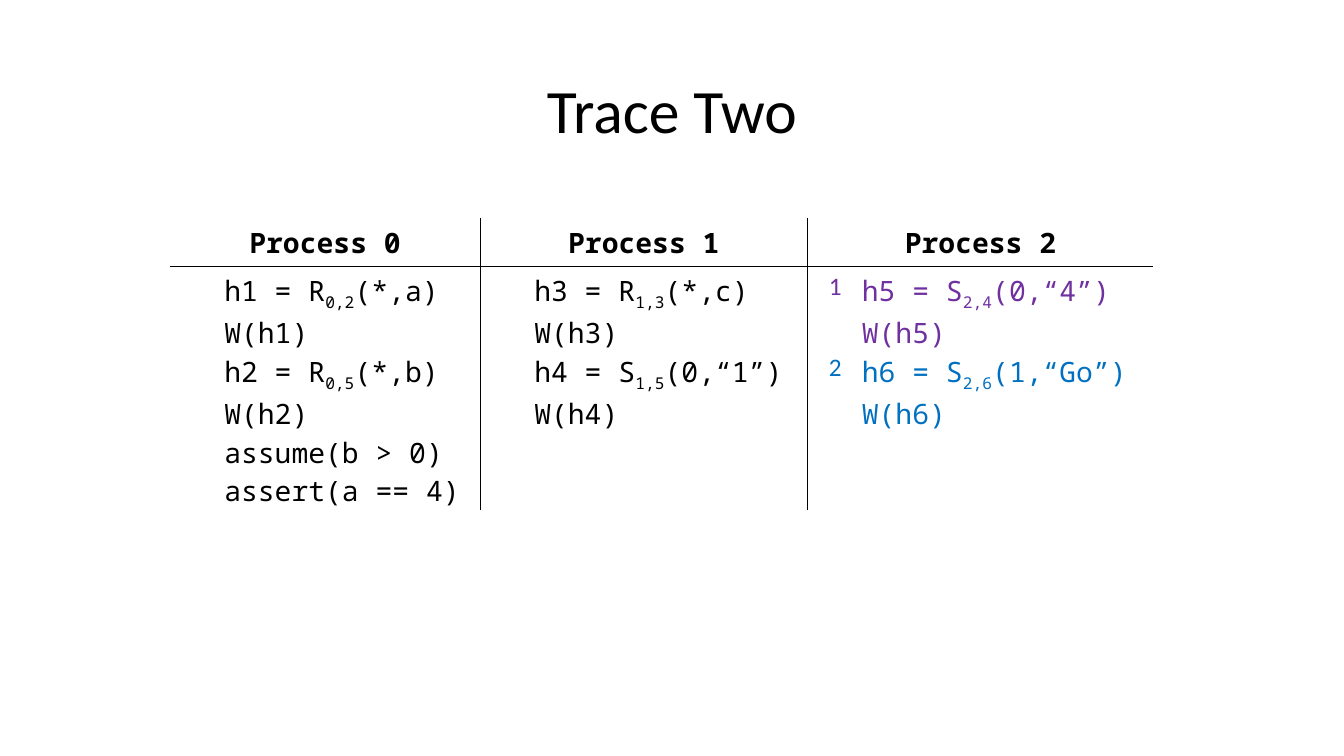
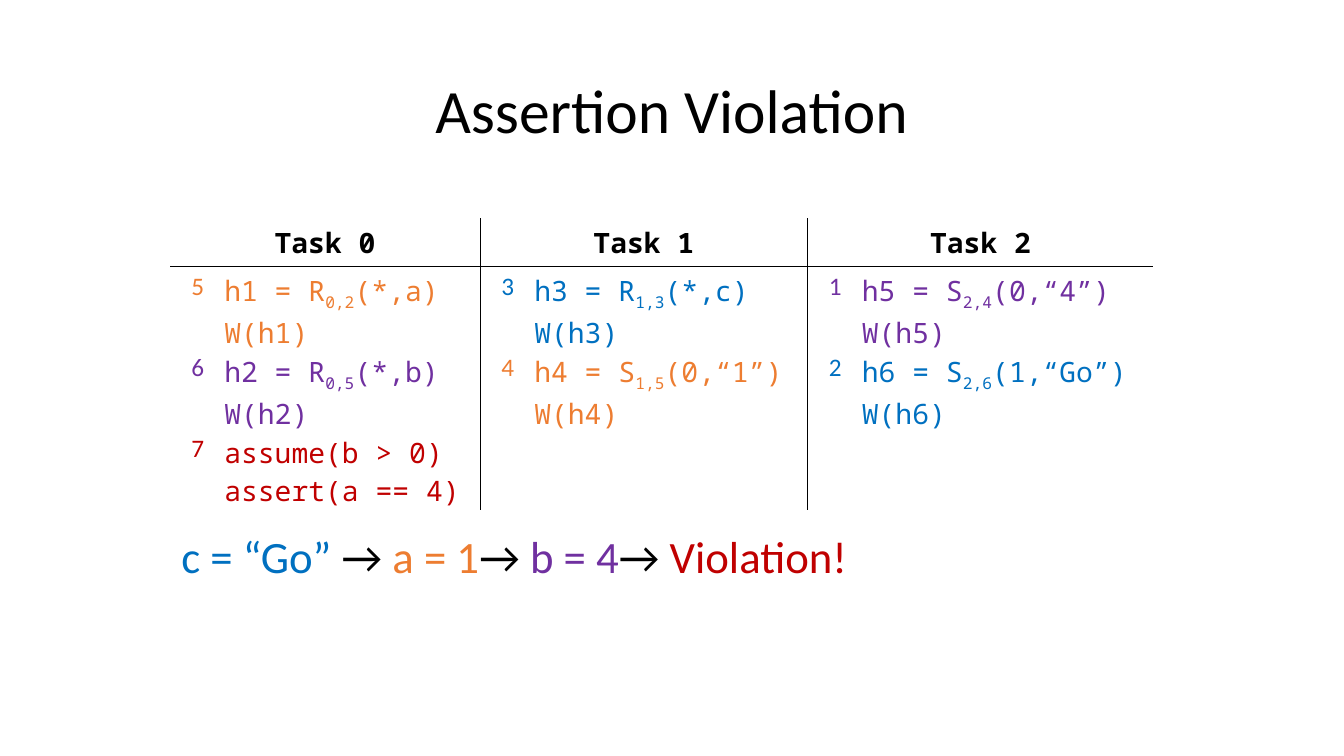
from dataclasses import dataclass
from pptx import Presentation
from pptx.dml.color import RGBColor as Rgb
from pptx.enum.text import PP_ALIGN as Align, MSO_ANCHOR as Anchor
from pptx.oxml import parse_xml
from pptx.oxml.ns import nsdecls
from pptx.util import Pt


@dataclass(frozen=True)
class Theme:
    black: str = "000000"
    white: str = "FFFFFF"
    purple: str = "7030A0"
    blue: str = "0070C0"
    orange: str = "ED7D31"
    red: str = "C00000"
    sans: str = "Calibri"
    mono: str = "Noto Sans Mono"
    title: int = 44
    chain: int = 32
    code: int = 20
    mark: int = 18


T = Theme()

CODE = [
    [("h1 = R_0,2_(*,a)", "W(h1)"), ("h3 = R_1,3_(*,c)", "W(h3)"),
     ("h5 = S_2,4_(0,“4”)", "W(h5)")],
    [("h2 = R_0,5_(*,b)", "W(h2)"), ("h4 = S_1,5_(0,“1”)", "W(h4)"),
     ("h6 = S_2,6_(1,“Go”)", "W(h6)")],
    [("assume(b > 0)", "assert(a == 4)"), (), ()],
]
SENDS = {(0, 2): ("1", T.purple), (1, 2): ("2", T.blue)}
STEPS = {
    **SENDS,
    (0, 1): ("3", T.blue), (1, 1): ("4", T.orange),
    (0, 0): ("5", T.orange), (1, 0): ("6", T.purple), (2, 0): ("7", T.red),
}
CHAIN = [
    ("c = “Go”", T.blue), (" → ", T.black), ("a = 1", T.orange),
    ("→ ", T.black), ("b = 4", T.purple), ("→ ", T.black),
    ("Violation!", T.red),
]
SLIDES = [
    ("Trace Two", "Process", SENDS, []),
    ("Assertion Violation", "Task", STEPS, CHAIN),
]
MARK_W = 31.5
CODE_W = [190, 202.5, 215.5]
ROW_H = [34.5, 61.5, 57.5, 54.5]


def add_run(para, text, size, color, face=T.sans, bold=False):
    run = para.add_run()
    run.text = text
    font = run.font
    font.size, font.name, font.bold = Pt(size), face, bold
    font.color.rgb = Rgb.from_string(color)
    return run


def add_box(slide, left, top, width, height):
    frame = slide.shapes.add_textbox(
        Pt(left), Pt(top), Pt(width), Pt(height)).text_frame
    frame.word_wrap = True
    return frame


def add_title(slide, text):
    frame = add_box(slide, 66, 29, 828, 104)
    frame.vertical_anchor = Anchor.MIDDLE
    para = frame.paragraphs[0]
    para.alignment, para.line_spacing = Align.CENTER, 0.9
    add_run(para, text, T.title, T.black)


def set_look(cell, row, col):
    drawn = {
        "L": col % 2 == 0 and col > 0,
        "R": (row == 0 or col % 2 == 1) and col < 4,
        "T": row == 1,
        "B": row == 0,
    }
    props = cell._tc.get_or_add_tcPr()
    for side, shown in drawn.items():
        paint = (f'<a:solidFill><a:srgbClr val="{T.black}"/></a:solidFill>'
                 if shown else "<a:noFill/>")
        props.append(parse_xml(
            f'<a:ln{side} {nsdecls("a")} w="{Pt(1)}">{paint}</a:ln{side}>'))
    cell.fill.solid()
    cell.fill.fore_color.rgb = Rgb.from_string(T.white)
    if row:
        cell.margin_top = Pt(3.6 if row == 1 else 0)
        cell.margin_bottom = Pt(0)


def add_code(cell, lines, color):
    frame = cell.text_frame
    for i, line in enumerate(lines):
        para = frame.add_paragraph() if i else frame.paragraphs[0]
        for j, part in enumerate(line.split("_")):
            run = add_run(para, part, T.code, color, T.mono)
            if j % 2:
                run._r.get_or_add_rPr().set("baseline", "-25000")


def add_trace(slide, noun, marks):
    widths = [w for code in CODE_W for w in (MARK_W, code)]
    table = slide.shapes.add_table(
        len(ROW_H), len(widths), Pt(121.5), Pt(156), Pt(sum(widths)),
        Pt(sum(ROW_H))).table
    table.first_row = table.horz_banding = False
    for col, width in zip(table.columns, widths):
        col.width = Pt(width)
    for row, height in zip(table.rows, ROW_H):
        row.height = Pt(height)
    for r in range(len(ROW_H)):
        for c in range(len(widths)):
            set_look(table.cell(r, c), r, c)
    for n in range(len(CODE_W)):
        head = table.cell(0, 2 * n)
        head.merge(table.cell(0, 2 * n + 1))
        para = head.text_frame.paragraphs[0]
        para.alignment = Align.CENTER
        add_run(para, f"{noun} {n}", T.code, T.black, T.mono, True)
    for r, blocks in enumerate(CODE):
        for n, lines in enumerate(blocks):
            mark, color = marks.get((r, n), ("", T.black))
            add_code(table.cell(r + 1, 2 * n + 1), lines, color)
            if mark:
                para = table.cell(r + 1, 2 * n).text_frame.paragraphs[0]
                para.alignment = Align.RIGHT
                add_run(para, mark, T.mark, color)


def main():
    deck = Presentation()
    deck.slide_width, deck.slide_height = Pt(960), Pt(540)
    for title, noun, marks, chain in SLIDES:
        slide = deck.slides.add_slide(deck.slide_layouts[6])
        add_title(slide, title)
        add_trace(slide, noun, marks)
        if chain:
            para = add_box(slide, 122.4, 374.4, 517, 46).paragraphs[0]
            for text, color in chain:
                add_run(para, text, T.chain, color)
    deck.save("out.pptx")


if __name__ == "__main__":
    main()
